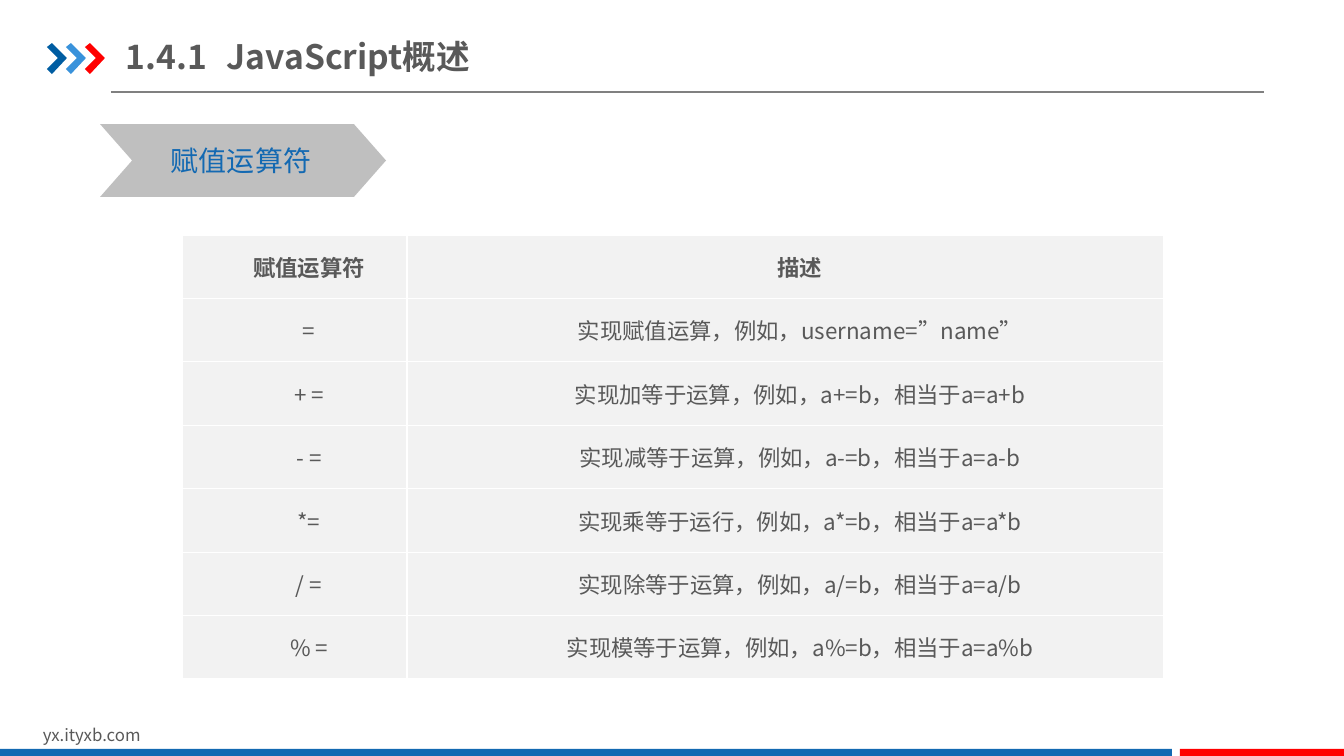
from lxml.etree import SubElement
from pptx import Presentation
from pptx.dml.color import RGBColor
from pptx.enum.lang import MSO_LANGUAGE_ID
from pptx.enum.shapes import MSO_CONNECTOR, MSO_SHAPE
from pptx.enum.text import MSO_ANCHOR, MSO_AUTO_SIZE, PP_ALIGN
from pptx.oxml.ns import qn
from pptx.util import Pt

EMU_PER_PX = 914400 / 100.8
FONT = "Noto Sans CJK SC"
COLORS = {
    "text": "595959",
    "blue": "1369B2",
    "navy": "005DA2",
    "sky": "3992DB",
    "red": "FF0000",
    "rule": "808080",
    "banner": "BFBFBF",
    "cell": "F2F2F2",
    "border": "FFFFFF",
}
OPERATORS = [
    ("赋值运算符", "描述"),
    ("=", "实现赋值运算，例如，username=”name”"),
    ("+ =", "实现加等于运算，例如，a+=b，相当于a=a+b"),
    ("- =", "实现减等于运算，例如，a-=b，相当于a=a-b"),
    ("*=", "实现乘等于运行，例如，a*=b，相当于a=a*b"),
    ("/ =", "实现除等于运算，例如，a/=b，相当于a=a/b"),
    ("% =", "实现模等于运算，例如，a%=b，相当于a=a%b"),
]


def px(length):
    return round(length * EMU_PER_PX)


def color(name):
    return RGBColor.from_string(COLORS[name])


def write(frame, text, size=16, ink="text", bold=False, align=PP_ALIGN.LEFT, indent=0, tab=0):
    para = frame.paragraphs[0]
    para.alignment = align
    properties = para._p.get_or_add_pPr()
    properties.set("marL", "0")
    properties.set("indent", str(px(indent)))
    if tab:
        stops = SubElement(properties, qn("a:tabLst"))
        SubElement(stops, qn("a:tab"), pos=str(px(tab)), algn="l")
    span = para.add_run()
    span.text = text
    span.font.name = FONT
    span.font.size = Pt(size)
    span.font.bold = bold
    span.font.color.rgb = color(ink)
    span.font.language_id = MSO_LANGUAGE_ID.SIMPLIFIED_CHINESE
    SubElement(span.font._element, qn("a:ea"), typeface=FONT)


class SlideBuilder:
    def __init__(self, deck):
        self.page = deck.slides.add_slide(deck.slide_layouts[5])
        self.shapes = self.page.shapes

    def title(self, left, top, width, height, text, **style):
        box = self.shapes.title
        box.left, box.top, box.width, box.height = map(px, (left, top, width, height))
        frame = box.text_frame
        frame.auto_size = MSO_AUTO_SIZE.NONE
        frame.vertical_anchor = MSO_ANCHOR.MIDDLE
        frame.margin_left = frame.margin_right = 0
        frame.margin_top = frame.margin_bottom = px(7)
        write(frame, text, **style)

    def text(self, left, top, width, height, text, wrap=True, **style):
        box = self.shapes.add_textbox(*map(px, (left, top, width, height)))
        box.text_frame.word_wrap = wrap
        box.text_frame.auto_size = MSO_AUTO_SIZE.SHAPE_TO_FIT_TEXT
        write(box.text_frame, text, **style)

    def paint(self, shape, fill):
        shape.shadow.inherit = False
        shape.fill.solid()
        shape.fill.fore_color.rgb = color(fill)
        shape.line.fill.background()
        return shape

    def preset(self, kind, left, top, width, height, fill):
        shape = self.shapes.add_shape(kind, *map(px, (left, top, width, height)))
        return self.paint(shape, fill)

    def outline(self, points, fill):
        builder = self.shapes.build_freeform(*points[0], scale=EMU_PER_PX)
        builder.add_line_segments(points[1:], close=True)
        return self.paint(builder.convert_to_shape(), fill)

    def rule(self, left, right, y):
        line = self.shapes.add_connector(MSO_CONNECTOR.STRAIGHT, px(left), px(y), px(right), px(y))
        line.line.color.rgb = color("rule")
        line.line.width = Pt(0.75)
        SubElement(line._element.spPr, qn("a:effectLst"))

    def table(self, left, top, widths, height, rows):
        box = self.shapes.add_table(
            len(rows), len(widths), px(left), px(top), px(sum(widths)), px(height))
        table = box.table
        table.first_row = table.horz_banding = False
        for column, width in zip(table.columns, widths):
            column.width = px(width)
        for number, texts in enumerate(rows):
            table.rows[number].height = px(height / len(rows))
            for cell, text in zip(table.rows[number].cells, texts):
                self.cell(cell, text, bold=number == 0)

    def cell(self, cell, text, bold):
        cell.vertical_anchor = MSO_ANCHOR.MIDDLE
        cell.margin_left = cell.margin_right = px(7)
        cell.margin_top = cell.margin_bottom = 0
        write(cell.text_frame, text, bold=bold, align=PP_ALIGN.CENTER, indent=29)
        properties = cell._tc.get_or_add_tcPr()
        for side in ("lnL", "lnR", "lnT", "lnB"):
            edge = SubElement(properties, qn(f"a:{side}"), w=str(Pt(1)))
            fill = SubElement(edge, qn("a:solidFill"))
            SubElement(fill, qn("a:srgbClr"), val=COLORS["border"])
        cell.fill.solid()
        cell.fill.fore_color.rgb = color("cell")


def main():
    deck = Presentation()
    deck.slide_width, deck.slide_height = px(1344), px(756)
    slide = SlideBuilder(deck)

    slide.rule(111, 1264, 92)
    arrow = [(0, 47), (5, 43), (20, 58), (5, 74), (0, 69), (11, 58)]
    for number, fill in enumerate(("navy", "sky", "red")):
        slide.outline([(47 + 19 * number + x, y) for x, y in arrow], fill)
    slide.text(33, 720, 321, 30, "yx.ityxb.com", size=12)
    slide.preset(MSO_SHAPE.RECTANGLE, 0, 749, 1172, 7, "blue")
    slide.preset(MSO_SHAPE.RECTANGLE, 1180, 749, 164, 7, "red")

    slide.title(126, 29, 429, 55, "1.4.1\tJavaScript概述", size=24, bold=True, tab=96)
    banner = slide.preset(MSO_SHAPE.CHEVRON, 100, 124, 286, 73, "banner")
    banner.adjustments[0] = 0.44
    slide.text(161, 139, 161, 44, "赋值运算符", wrap=False, size=20, ink="blue")
    slide.table(182, 235, (225, 757), 444, OPERATORS)

    deck.save("out.pptx")


if __name__ == "__main__":
    main()
